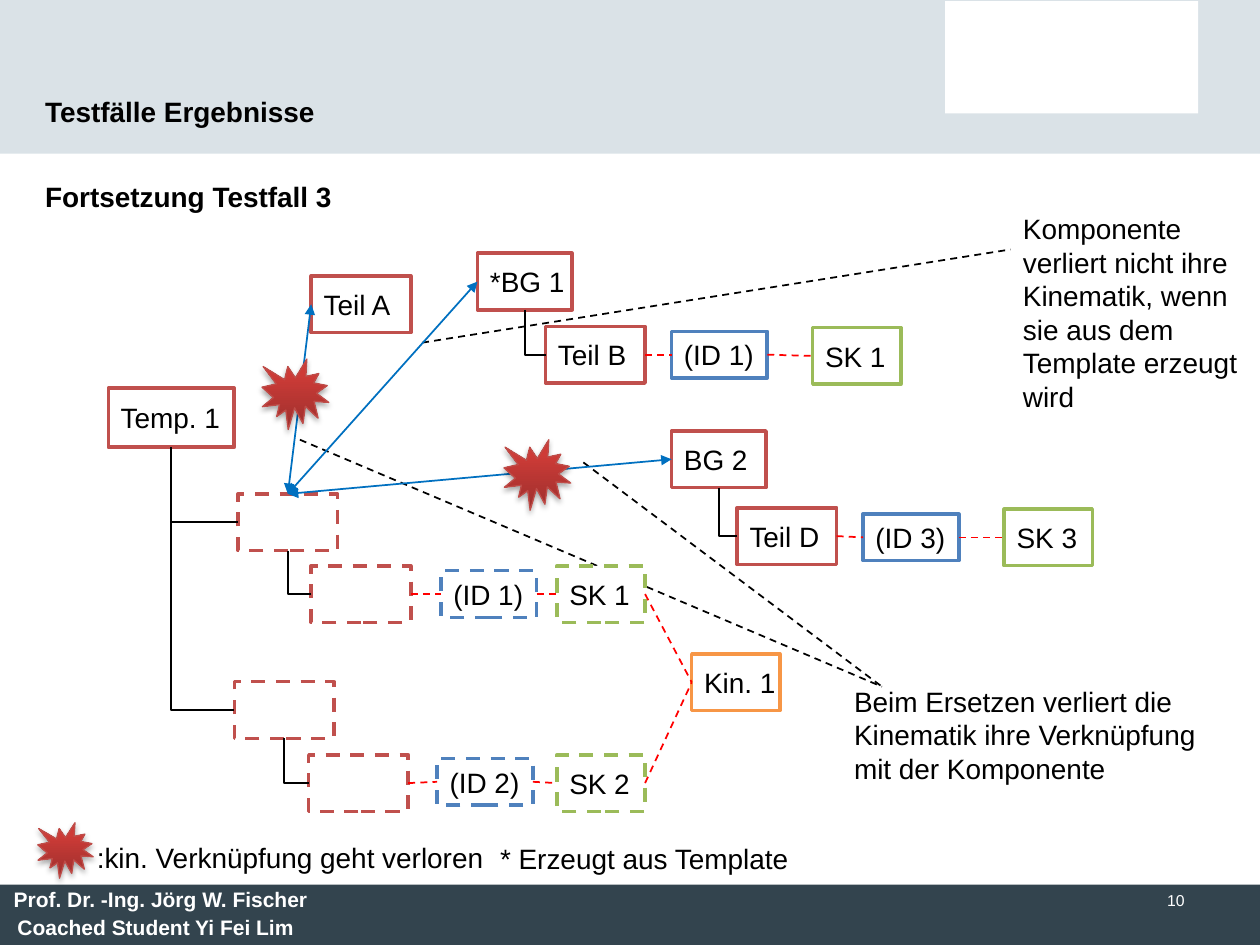
"""Builds the slide on test case 3: templates, parts and lost kinematic links."""
import pptx
import pptx.util
import pptx.dml.color
import pptx.enum.dml
import pptx.enum.shapes
import pptx.enum.text
import pptx.oxml.ns
import lxml.etree

rgb = pptx.dml.color.RGBColor.from_string
Pt = pptx.util.Pt
qn = pptx.oxml.ns.qn
SHAPE = pptx.enum.shapes.MSO_SHAPE
CONNECTOR = pptx.enum.shapes.MSO_CONNECTOR
ANCHOR = pptx.enum.text.MSO_ANCHOR
ALIGN = pptx.enum.text.PP_ALIGN
DASH = pptx.enum.dml.MSO_LINE.DASH

deck = pptx.Presentation()
deck.slide_width = pptx.util.Inches(10)
deck.slide_height = pptx.util.Inches(7.5)
col = deck.slide_width / 100
row = deck.slide_height / 75
slide = deck.slides.add_slide(deck.slide_layouts[6])


def write(holder, text, size=16, color="000000", bold=False, wrap=False,
          anchor=ANCHOR.TOP, align=ALIGN.LEFT):
    frame = holder.text_frame
    frame.word_wrap = wrap
    frame.vertical_anchor = anchor
    paragraph = frame.paragraphs[0]
    paragraph.text = text
    paragraph.alignment = align
    paragraph.font.name = "Arial"
    paragraph.font.size = Pt(size)
    paragraph.font.bold = bold
    paragraph.font.color.rgb = rgb(color)


def add_line(color, dashed, kind=CONNECTOR.STRAIGHT, ends=(0, 0, 0, 0)):
    x1, y1, x2, y2 = ends
    line = slide.shapes.add_connector(
        kind, int(x1 * col), int(y1 * row), int(x2 * col), int(y2 * row))
    line.line.color.rgb = rgb(color)
    line.line.width = Pt(1)
    if dashed:
        line.line.dash_style = DASH
    lxml.etree.SubElement(line._element.spPr, qn("a:effectLst"))
    return line


for x, y, width, height, color in [
    (0, 0, 100, 12.2, "DAE2E7"),
    (75, 0.1, 20.1, 8.9, "FFFFFF"),
    (0, 70.2, 100, 4.8, "33444E"),
]:
    band = slide.shapes.add_shape(
        SHAPE.RECTANGLE, int(x * col), int(y * row), int(width * col), int(height * row))
    band.shadow.inherit = False
    band.fill.solid()
    band.fill.fore_color.rgb = rgb(color)
    band.line.fill.background()

for x, y, width, height, text, style in [
    (0.1, 69.9, 26.8, 3, "Prof. Dr. -Ing. Jörg W. Fischer",
     dict(size=12, color="FFFFFF", bold=True, wrap=True)),
    (0.4, 72.1, 24.5, 3, "Coached Student Yi Fei Lim",
     dict(size=12, color="FFFFFF", bold=True, wrap=True)),
    (71.7, 70.2, 23.3, 4.8, "10",
     dict(size=9, color="FFFFFF", wrap=True, align=ALIGN.RIGHT)),
    (2.6, 4.4, 60.7, 6.3, "Testfälle Ergebnisse",
     dict(bold=True, wrap=True, anchor=ANCHOR.BOTTOM)),
    (2.6, 13.8, 25.1, 3.7, "Fortsetzung Testfall 3", dict(bold=True)),
    (6.7, 66.2, 33.1, 3.7, ":kin. Verknüpfung geht verloren", {}),
    (38.7, 66.3, 25.2, 3.7, "* Erzeugt aus Template", {}),
    (66.8, 53.8, 30.4, 9.1,
     "Beim Ersetzen verliert die Kinematik ihre Verknüpfung mit der Komponente",
     dict(wrap=True)),
    (80.2, 16.3, 20.9, 17.2,
     "Komponente verliert nicht ihre Kinematik, wenn sie aus dem Template erzeugt wird",
     dict(wrap=True)),
]:
    note = slide.shapes.add_textbox(
        int(x * col), int(y * row), int(width * col), int(height * row))
    write(note, text, **style)

for ends in [(23.8, 34.9, 70, 54.5), (46.3, 36.7, 70, 54.5), (33.5, 27.2, 80.2, 19.8)]:
    add_line("000000", True, ends=ends)

families = {
    "template": ("C0504D", 10, 4.7),
    "assembly": ("C0504D", 7.5, 4.5),
    "part": ("C0504D", 7.9, 4.5),
    "id": ("4F81BD", 7.6, 3.7),
    "component": ("9BBB59", 7, 4.5),
    "kinematics": ("F79646", 7, 4.5),
}
nodes = {}
for key, family, x, y, label, replaced in [
    ("template", "template", 8.6, 30.8, "Temp. 1", False),
    ("slot 1", "part", 18.9, 39.2, "", True),
    ("slot 1 part", "part", 24.7, 44.9, "", True),
    ("slot 1 id", "id", 35, 45.3, "(ID 1)", True),
    ("slot 1 sk", "component", 44.2, 44.9, "SK 1", True),
    ("slot 2", "part", 18.6, 54.1, "", True),
    ("slot 2 part", "part", 24.5, 59.9, "", True),
    ("slot 2 id", "id", 34.7, 60.2, "(ID 2)", True),
    ("slot 2 sk", "component", 44.2, 59.9, "SK 2", True),
    ("kinematics", "kinematics", 54.9, 51.9, "Kin. 1", False),
    ("part A", "part", 24.7, 21.9, "Teil A", False),
    ("group 1", "assembly", 37.9, 20.1, "*BG 1", False),
    ("part B", "part", 43.3, 25.9, "Teil B", False),
    ("part B id", "id", 53.3, 26.3, "(ID 1)", False),
    ("part B sk", "component", 64.5, 26, "SK 1", False),
    ("group 2", "assembly", 53.3, 34.2, "BG 2", False),
    ("part D", "part", 58.5, 40.3, "Teil D", False),
    ("part D id", "id", 68.5, 40.8, "(ID 3)", False),
    ("part D sk", "component", 79.7, 40.4, "SK 3", False),
]:
    color, width, height = families[family]
    node = slide.shapes.add_shape(
        SHAPE.RECTANGLE, int(x * col), int(y * row), int(width * col), int(height * row))
    node.shadow.inherit = False
    node.fill.solid()
    node.fill.fore_color.rgb = rgb("FFFFFF")
    node.line.color.rgb = rgb(color)
    node.line.width = Pt(2)
    if replaced:
        node.line.dash_style = DASH
    if label:
        write(node, label, anchor=ANCHOR.MIDDLE)
    nodes[key] = node

TOP, LEFT, BOTTOM, RIGHT = range(4)

for parent, child in [
    ("template", "slot 1"), ("template", "slot 2"),
    ("slot 1", "slot 1 part"), ("slot 2", "slot 2 part"),
    ("group 1", "part B"), ("group 2", "part D"),
]:
    branch = add_line("000000", False, CONNECTOR.ELBOW)
    branch.begin_connect(nodes[parent], BOTTOM)
    branch.end_connect(nodes[child], LEFT)
    across, down = branch.width, branch.height
    branch.left += (across - down) // 2
    branch.top += (down - across) // 2
    branch.width, branch.height = down, across
    branch._element.spPr.find(qn("a:prstGeom")).set("prst", "bentConnector2")
    turn = branch._element.spPr.find(qn("a:xfrm"))
    turn.set("rot", "16200000")
    turn.set("flipH", "1")

chains = [(f"{owner}{suffix}", f"{owner} id", f"{owner} sk") for owner, suffix in
          [("slot 1", " part"), ("slot 2", " part"), ("part B", ""), ("part D", "")]]
chains += [("slot 1 sk", "kinematics"), ("slot 2 sk", "kinematics")]
for chain in chains:
    for source, target in zip(chain, chain[1:]):
        relation = add_line("FF0000", True)
        relation.begin_connect(nodes[source], RIGHT)
        relation.end_connect(nodes[target], LEFT)

for replacement in ("part A", "group 1", "group 2"):
    swap = add_line("0070C0", False)
    swap.begin_connect(nodes[replacement], LEFT)
    swap.end_connect(nodes["slot 1"], TOP)
    for end in ("a:headEnd", "a:tailEnd"):
        lxml.etree.SubElement(swap.line._get_or_add_ln(), qn(end), type="triangle")

for x, y, width, height in [
    (40, 34.9, 5.3, 5.6), (20.8, 28.5, 5.3, 5.6), (3, 65.3, 4.4, 4.4),
]:
    loss = slide.shapes.add_shape(
        SHAPE.EXPLOSION1, int(x * col), int(y * row), int(width * col), int(height * row))
    loss.fill.gradient()
    loss.fill.gradient_angle = 90
    for stop, position, color in zip(
            loss.fill.gradient_stops, (0, 0.8), ("9C2F2D", "CE3B37")):
        stop.position = position
        stop.color.rgb = rgb(color)
    loss.line.color.rgb = rgb("BF4C48")
    loss.line.width = Pt(0.75)
    loss.shadow.inherit = False
    shade = lxml.etree.SubElement(
        loss._element.spPr.find(qn("a:effectLst")), qn("a:outerShdw"),
        blurRad=str(Pt(3.1)), dist=str(Pt(1.8)), dir="5400000", rotWithShape="0")
    tint = lxml.etree.SubElement(shade, qn("a:srgbClr"), val="000000")
    lxml.etree.SubElement(tint, qn("a:alpha"), val="35000")

deck.save("out.pptx")
